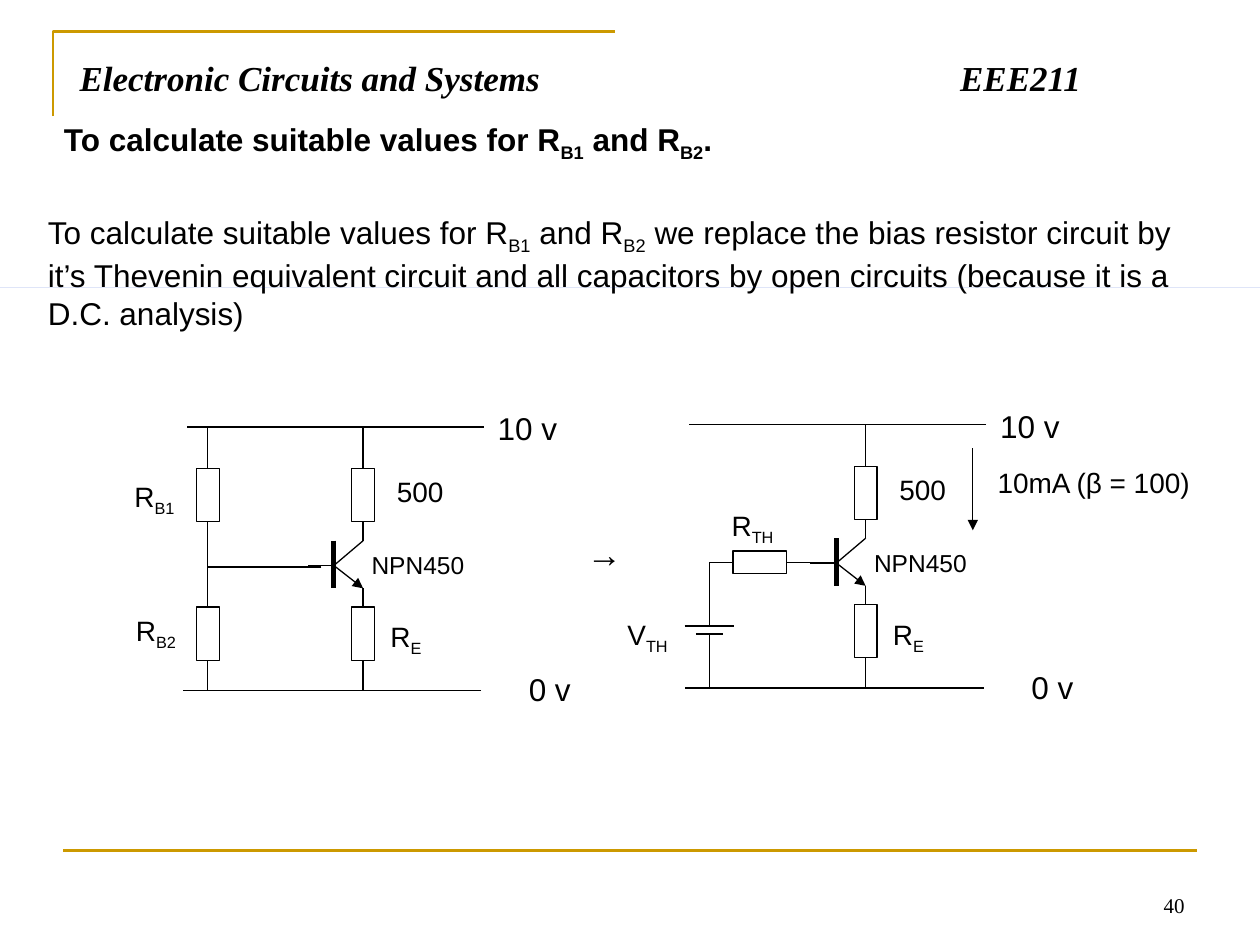
"""Build the slide on the bias resistors of a transistor stage."""
import dataclasses

import lxml.etree
import pptx
import pptx.dml.color
import pptx.enum.shapes
import pptx.enum.text
import pptx.oxml.ns
import pptx.util

Cm = pptx.util.Cm
Pt = pptx.util.Pt
Align = pptx.enum.text.PP_ALIGN
Anchor = pptx.enum.text.MSO_ANCHOR


@dataclasses.dataclass(frozen=True)
class Theme:
    """Colours, fonts, type sizes and line widths of the slide."""
    ink: str = "000000"
    paper: str = "FFFFFF"
    gold: str = "CC9900"
    blue: str = "0033CC"
    sans: str = "Arial"
    serif: str = "Times New Roman"
    title: int = 20
    body: int = 18
    label: int = 16
    small: int = 14
    number: int = 12
    wire: float = 0.75
    rule: float = 1.5
    bar: float = 3


T = Theme()
AXIS = 7.32
TOP_RAIL, BOTTOM_RAIL = 8.61, 13.92
RES_W, RES_H = 0.46, 1.07
UPPER, LOWER = 9.45, 12.24


def rgb(value):
    """Return a colour object for a hex value."""
    return pptx.dml.color.RGBColor.from_string(value)


def add_xml(parent, tag, **attrs):
    """Append a DrawingML element to a parent and return it."""
    return lxml.etree.SubElement(parent, pptx.oxml.ns.qn(tag), attrs)


def write(sp, text, size=T.label, font=T.sans, bold=False, italic=False,
          align=Align.LEFT, anchor=Anchor.TOP):
    """Write text into a shape, with subscripts between underscores."""
    tf = sp.text_frame
    tf.word_wrap = True
    tf.auto_size = pptx.enum.text.MSO_AUTO_SIZE.NONE
    tf.vertical_anchor = anchor
    p = tf.paragraphs[0]
    p.alignment = align
    p.space_before = Pt(0)
    for i, piece in enumerate(text.split("_")):
        if not piece:
            continue
        r = p.add_run()
        r.text = piece
        r.font.size, r.font.name = Pt(size), font
        r.font.bold, r.font.italic = bold, italic
        r.font.color.rgb = rgb(T.ink)
        if i % 2:
            r._r.get_or_add_rPr().set("baseline", "-25000")
    return p


def place(sp, x, y, w, h):
    """Move and size a shape in centimetres."""
    sp.left, sp.top, sp.width, sp.height = Cm(x), Cm(y), Cm(w), Cm(h)


def label(s, text, x, y, w, h, **fmt):
    """Add a text box."""
    return write(s.shapes.add_textbox(Cm(x), Cm(y), Cm(w), Cm(h)), text, **fmt)


def line(s, x1, y1, x2, y2, color=T.ink, width=T.wire, arrow=False):
    """Add a straight line, with an arrowhead at its end if asked."""
    sp = s.shapes.add_connector(pptx.enum.shapes.MSO_CONNECTOR.STRAIGHT,
                                Cm(x1), Cm(y1), Cm(x2), Cm(y2))
    sp.line.color.rgb = rgb(color)
    sp.line.width = Pt(width)
    if arrow:
        add_xml(sp.line._get_or_add_ln(), "a:tailEnd", type="triangle")
    add_xml(sp._element.spPr, "a:effectLst")
    return sp


def box(s, x, y, w, h, fill, outline=True):
    """Add a filled rectangle."""
    sp = s.shapes.add_shape(pptx.enum.shapes.MSO_SHAPE.RECTANGLE,
                            Cm(x), Cm(y), Cm(w), Cm(h))
    sp.shadow.inherit = False
    sp.fill.solid()
    sp.fill.fore_color.rgb = rgb(fill)
    if outline:
        sp.line.color.rgb = rgb(T.ink)
        sp.line.width = Pt(T.wire)
    else:
        sp.line.fill.background()
    return sp


def resistor(s, x, y, start, end):
    """Add an upright resistor with leads to the heights start and end."""
    sp = box(s, x - RES_W / 2, y, RES_W, RES_H, T.paper)
    line(s, x, start, x, y).end_connect(sp, 0)
    line(s, x, y + RES_H, x, end).begin_connect(sp, 2)


def transistor(s, dx, dy):
    """Add a transistor with its base, collector and emitter."""
    x, base, out = 6.73 + dx, 11.4 + dy, AXIS + dx
    line(s, x, base, out, 11.86 + dy, arrow=True)
    line(s, x, 10.9 + dy, x, 11.86 + dy, width=T.bar)
    line(s, x, base, out, 10.9 + dy)
    line(s, x, base, 6.2 + dx, base)


def stage(s, dx=0, dy=0):
    """Add the rails, transistor, resistors and labels of one stage."""
    line(s, 9.75 + dx, TOP_RAIL + dy, 3.76 + dx, TOP_RAIL + dy)
    line(s, 9.7 + dx, BOTTOM_RAIL + dy, 3.68 + dx, BOTTOM_RAIL + dy)
    transistor(s, dx, dy)
    resistor(s, AXIS + dx, UPPER + dy, TOP_RAIL + dy, 10.9 + dy)
    resistor(s, AXIS + dx, LOWER + dy, 11.86 + dy, BOTTOM_RAIL + dy)
    for text, x, y, w, h, size in (
            ("NPN450", 7.24, 10.97, 3.05, 0.69, T.small),
            ("500", 7.75, 9.45, 1.91, 0.94, T.label),
            ("10 v", 9.78, 8.13, 1.83, 0.81, T.body),
            ("0 v", 10.41, 13.39, 1.55, 0.81, T.body),
            ("R_E_", 7.62, 12.37, 1.57, 0.94, T.label)):
        label(s, text, x + dx, y + dy, w, h, size=size)


def divider(s):
    """Add the bias divider of the first circuit."""
    x, tap = 4.19, 11.43
    resistor(s, x, UPPER, TOP_RAIL, tap)
    resistor(s, x, LOWER, tap, BOTTOM_RAIL)
    line(s, 6.48, tap, x, tap)
    label(s, "R_B1_", 2.46, 9.55, 1.65, 0.94)
    label(s, "R_B2_", 2.49, 12.24, 1.5, 0.94)


def thevenin(s):
    """Add the equivalent source, its resistor and the current arrow."""
    x, y, left = 14.3, 11.34, 14.78
    sp = box(s, left, y - RES_W / 2, RES_H, RES_W, T.paper)
    line(s, x, y, left, y).end_connect(sp, 1)
    line(s, left + RES_H, y, 16.61, y).begin_connect(sp, 3)
    line(s, x, y, x, 12.6)
    for half, plate in ((0.5, 12.62), (0.27, 12.78)):
        line(s, x - half, plate, x + half, plate)
    line(s, x, 12.78, x, 13.87)
    label(s, "R_TH_", 14.5, 10.13, 1.45, 0.76)
    label(s, "V_TH_", 12.4, 12.32, 1.63, 0.76)
    line(s, 19.61, 9.04, 19.61, 10.69, arrow=True)
    label(s, "10mA (β = 100)", 19.86, 9.27, 4.6, 0.76)


def frame(s):
    """Add the gold corner and the gold rule."""
    fb = s.shapes.build_freeform(Cm(1.07), Cm(2.34))
    fb.add_line_segments([(Cm(1.07), Cm(0.64)), (Cm(12.4), Cm(0.64))], close=False)
    sp = fb.convert_to_shape()
    sp.shadow.inherit = False
    sp.fill.background()
    sp.line.color.rgb = rgb(T.gold)
    sp.line.width = Pt(T.rule)
    line(s, 1.27, 17.15, 24.13, 17.15, color=T.gold, width=T.rule)


def headings(s):
    """Fill the title and body placeholders and add the subheading."""
    title, body = s.placeholders
    place(title, 1.35, 1.02, 22.66, 1.55)
    p = write(title, "Electronic Circuits and Systems\tEEE211", size=T.title,
              font=T.serif, bold=True, italic=True)
    tabs = add_xml(p._p.get_or_add_pPr(), "a:tabLst")
    add_xml(tabs, "a:tab", pos=str(Cm(17.75)), algn="l")
    place(body, 0.71, 4.17, 23.9, 2.57)
    p = write(body, "To calculate suitable values for R_B1_ and R_B2_ we replace the bias "
              "resistor circuit by it’s Thevenin equivalent circuit and all capacitors "
              "by open circuits (because it is a D.C. analysis)", size=T.body)
    pPr = p._p.get_or_add_pPr()
    pPr.set("marL", "0")
    pPr.set("indent", "0")
    add_xml(pPr, "a:buNone")
    label(s, "To calculate suitable values for R_B1_ and R_B2_.", 1.04, 2.29, 23.29, 1.02,
          size=T.body, bold=True)


def main():
    """Build the slide and save it."""
    prs = pptx.Presentation()
    prs.slide_width, prs.slide_height = Cm(25.4), Cm(19.05)
    s = prs.slides.add_slide(prs.slide_layouts[1])
    frame(s)
    box(s, 0, 5.79, 25.4, 0, T.blue, outline=False)
    headings(s)
    stage(s)
    divider(s)
    stage(s, 10.13, -0.05)
    thevenin(s)
    label(s, "→", 11.58, 10.62, 1.35, 0.89, size=T.title, bold=True)
    label(s, "40", 18.21, 17.35, 5.92, 1.27, size=T.number, font=T.serif,
          align=Align.RIGHT, anchor=Anchor.BOTTOM)
    prs.save("out.pptx")


if __name__ == "__main__":
    main()
